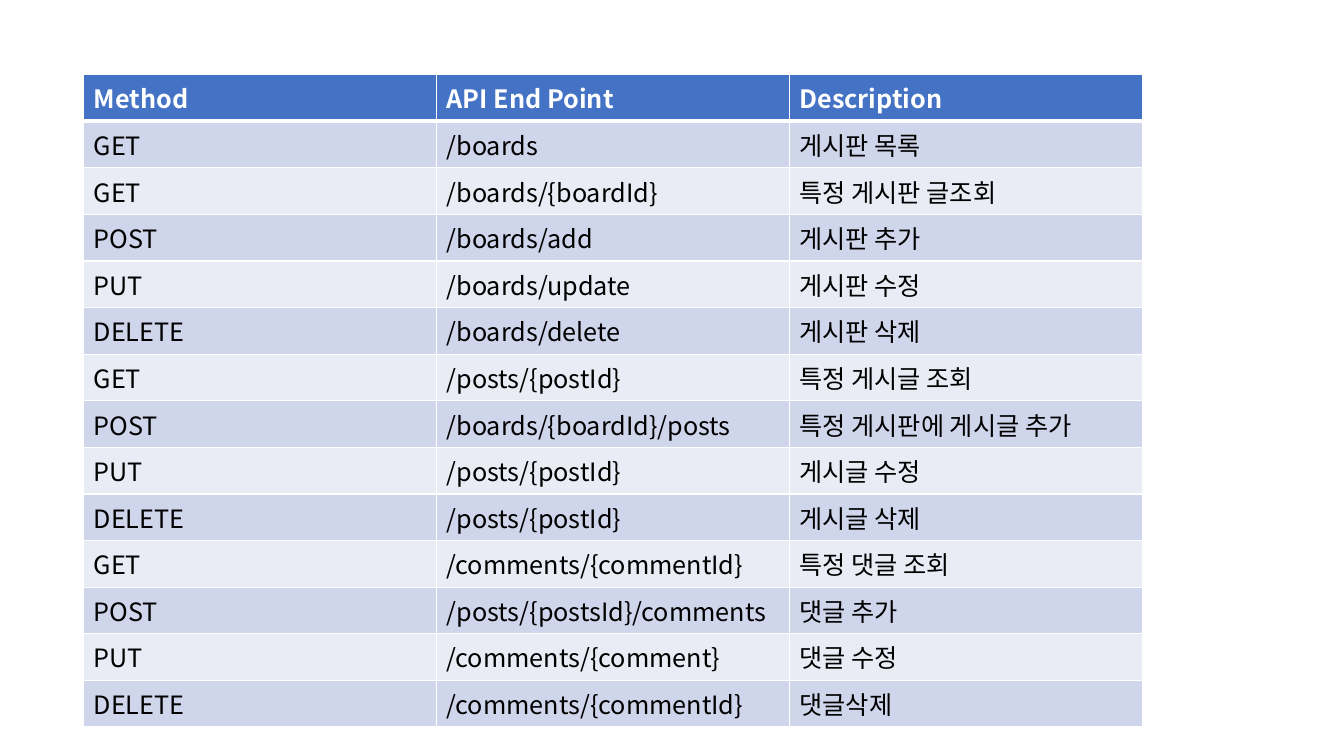
import dataclasses

import lxml.etree
import pptx
import pptx.dml.color
import pptx.oxml.ns
import pptx.table
import pptx.util

FONT = "Noto Sans CJK KR"
TEXT_SIZE = 18
WHITE, BLACK, BLUE = "FFFFFF", "000000", "4472C4"
BANDS = ("CFD5EA", "E9EBF5")
THIN, THICK = 1, 3

# Table grid, in inches
TABLE_LEFT, TABLE_TOP = 0.83, 0.74
COLUMN_WIDTH, ROW_HEIGHT = 3.5, 0.41


@dataclasses.dataclass(frozen=True)
class Endpoint:
    method: str
    address: str
    description: str


HEADER = Endpoint("Method", "API End Point", "Description")
ENDPOINTS = [
    Endpoint("GET", "/boards", "게시판 목록"),
    Endpoint("GET", "/boards/{boardId}", "특정 게시판 글조회"),
    Endpoint("POST", "/boards/add", "게시판 추가"),
    Endpoint("PUT", "/boards/update", "게시판 수정"),
    Endpoint("DELETE", "/boards/delete", "게시판 삭제"),
    Endpoint("GET", "/posts/{postId}", "특정 게시글 조회"),
    Endpoint("POST", "/boards/{boardId}/posts", "특정 게시판에 게시글 추가"),
    Endpoint("PUT", "/posts/{postId}", "게시글 수정"),
    Endpoint("DELETE", "/posts/{postId}", "게시글 삭제"),
    Endpoint("GET", "/comments/{commentId}", "특정 댓글 조회"),
    Endpoint("POST", "/posts/{postsId}/comments", "댓글 추가"),
    Endpoint("PUT", "/comments/{comment}", "댓글 수정"),
    Endpoint("DELETE", "/comments/{commentId}", "댓글삭제"),
]


def color(value: str) -> pptx.dml.color.RGBColor:
    return pptx.dml.color.RGBColor.from_string(value)


def add_child(parent: lxml.etree.ElementBase, tag: str, **attributes: str) -> lxml.etree.ElementBase:
    return lxml.etree.SubElement(parent, pptx.oxml.ns.qn(tag), attributes)


def set_borders(cell: pptx.table._Cell, top: float, bottom: float) -> None:
    properties = cell._tc.get_or_add_tcPr()
    widths = {"a:lnL": THIN, "a:lnR": THIN, "a:lnT": top, "a:lnB": bottom}
    for tag, width in widths.items():
        line = add_child(properties, tag, w=str(pptx.util.Pt(width)))
        add_child(add_child(line, "a:solidFill"), "a:srgbClr", val=WHITE)


def write_cell(cell: pptx.table._Cell, text: str, row: int) -> None:
    is_header = row == 0
    set_borders(cell, THICK if row == 1 else THIN, THICK if is_header else THIN)
    cell.fill.solid()
    cell.fill.fore_color.rgb = color(BLUE if is_header else BANDS[(row - 1) % 2])

    paragraph = cell.text_frame.paragraphs[0]
    span = paragraph.add_run()
    span.text = text
    font = paragraph.font
    font.name = FONT
    font.size = pptx.util.Pt(TEXT_SIZE)
    font.bold = is_header
    font.color.rgb = color(WHITE if is_header else BLACK)
    # Korean letters take the East Asian typeface
    add_child(span._r.get_or_add_rPr(), "a:ea", typeface=FONT)


def main() -> None:
    deck = pptx.Presentation()
    deck.slide_width = pptx.util.Inches(13.33)
    deck.slide_height = pptx.util.Inches(7.5)
    page = deck.slides.add_slide(deck.slide_layouts[6])

    # Endpoint table
    rows = [dataclasses.astuple(endpoint) for endpoint in [HEADER, *ENDPOINTS]]
    columns = len(rows[0])
    table = page.shapes.add_table(
        len(rows), columns,
        pptx.util.Inches(TABLE_LEFT), pptx.util.Inches(TABLE_TOP),
        pptx.util.Inches(COLUMN_WIDTH * columns), pptx.util.Inches(ROW_HEIGHT * len(rows)),
    ).table
    for row, texts in enumerate(rows):
        for column, text in enumerate(texts):
            write_cell(table.cell(row, column), text, row)

    deck.save("out.pptx")


if __name__ == "__main__":
    main()
